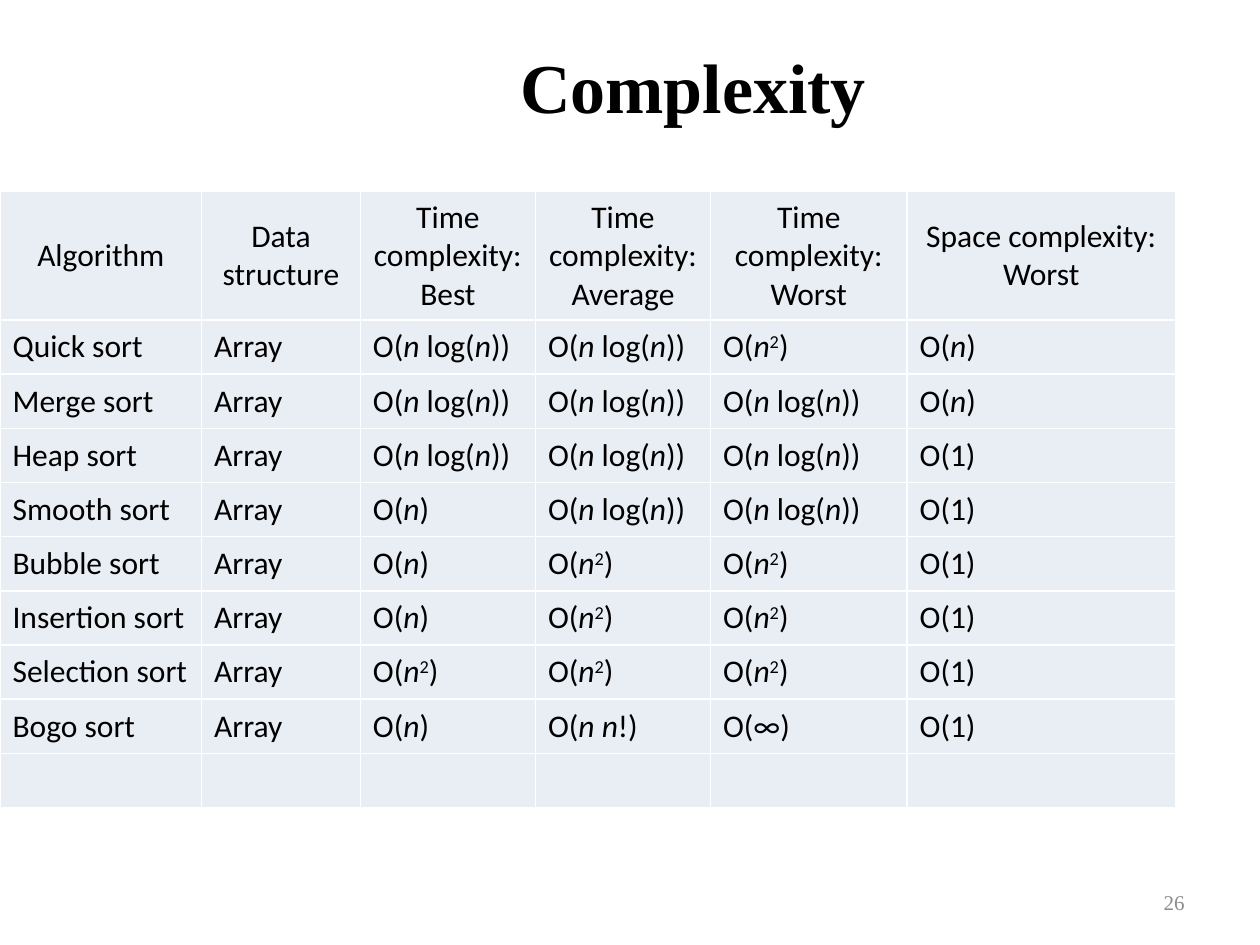
from itertools import groupby

from lxml import etree
from pptx import Presentation
from pptx.dml.color import RGBColor
from pptx.enum.text import MSO_ANCHOR, PP_ALIGN
from pptx.oxml.ns import qn
from pptx.util import Inches, Pt

MIDDLE = MSO_ANCHOR.MIDDLE
LEFT, CENTER, RIGHT = PP_ALIGN.LEFT, PP_ALIGN.CENTER, PP_ALIGN.RIGHT

WIDTH, HEIGHT = 10, 7.5
COLUMNS = [1.6, 1.26, 1.39, 1.39, 1.56, 2.13]
HEADER_HEIGHT, ROW_HEIGHT = 1.02, 0.43

TITLE = {"name": "Times New Roman", "size": Pt(40), "bold": True}
NUMBER = {"name": "Times New Roman", "size": Pt(12)}
CELL = {"name": "Calibri", "size": Pt(18), "bold": False}

LOG, LINEAR, SQUARE, CONST = "O(n log(n))", "O(n)", "O(n2)", "O(1)"
HEADERS = ["Algorithm", "Data structure", "Time complexity:\nBest",
           "Time complexity: Average", "Time complexity:\nWorst",
           "Space complexity: Worst"]
SORTS = [
    ("Quick", LOG, LOG, SQUARE, LINEAR),
    ("Merge", LOG, LOG, LOG, LINEAR),
    ("Heap", LOG, LOG, LOG, CONST),
    ("Smooth", LINEAR, LOG, LOG, CONST),
    ("Bubble", LINEAR, SQUARE, SQUARE, CONST),
    ("Insertion", LINEAR, SQUARE, SQUARE, CONST),
    ("Selection", SQUARE, SQUARE, SQUARE, CONST),
    ("Bogo", LINEAR, "O(n n!)", "O(∞)", CONST),
]


def rgb(value):
    return RGBColor.from_string(value)


def add_run(p, text, fmt, color="000000"):
    r = p.add_run()
    r.text = text
    for key, value in fmt.items():
        setattr(r.font, key, value)
    r.font.color.rgb = rgb(color)
    return r


def add_text(s, text, box, fmt, align, color="000000"):
    x, y, w, h = box
    sp = s.shapes.add_textbox(*(Inches(v) for v in (
        x * WIDTH, y * HEIGHT, w * WIDTH, h * HEIGHT)))
    tf = sp.text_frame
    tf.word_wrap, tf.vertical_anchor = True, MIDDLE
    p = tf.paragraphs[0]
    p.alignment = align
    add_run(p, text, fmt, color)


def style_cell(cell):
    tcPr = cell._tc.get_or_add_tcPr()
    for side in ("lnL", "lnR", "lnT", "lnB"):
        ln = etree.SubElement(tcPr, qn(f"a:{side}"), w=str(Pt(1)))
        fill = etree.SubElement(ln, qn("a:solidFill"))
        etree.SubElement(fill, qn("a:srgbClr"), val="FFFFFF")
    cell.fill.solid()
    cell.fill.fore_color.rgb = rgb("E9EDF4")
    cell.vertical_anchor = MIDDLE


def write_lines(p, text):
    for i, line in enumerate(text.split("\n")):
        if i:
            p.add_line_break()
        add_run(p, line, CELL)


def write_formula(p, text):
    for kind, chars in groupby(text, lambda c: c if c in "n2" else ""):
        r = add_run(p, "".join(chars), {**CELL, "italic": kind == "n"})
        if kind == "2":
            r._r.get_or_add_rPr().set("baseline", "30000")


def add_complexity_table(s):
    rows = [HEADERS]
    rows += [(f"{name} sort", "Array", *costs) for name, *costs in SORTS]
    rows.append([""] * len(COLUMNS))
    heights = [HEADER_HEIGHT] + [ROW_HEIGHT] * (len(rows) - 1)
    table = s.shapes.add_table(
        len(rows), len(COLUMNS), 0, Inches(1.52),
        Inches(sum(COLUMNS)), Inches(sum(heights))).table
    table.first_row = table.horz_banding = False
    for column, width in zip(table.columns, COLUMNS):
        column.width = Inches(width)
    for i, (texts, height) in enumerate(zip(rows, heights)):
        table.rows[i].height = Inches(height)
        for j, text in enumerate(texts):
            cell = table.cell(i, j)
            style_cell(cell)
            p = cell.text_frame.paragraphs[0]
            p.alignment = LEFT if i else CENTER
            if text:
                write = write_formula if text.startswith("O(") else write_lines
                write(p, text)


def main():
    prs = Presentation()
    prs.slide_width, prs.slide_height = Inches(WIDTH), Inches(HEIGHT)
    s = prs.slides.add_slide(prs.slide_layouts[6])
    add_complexity_table(s)
    add_text(s, "26", (0.72, 0.93, 0.23, 0.05), NUMBER, RIGHT, "8C8C8C")
    add_text(s, "Complexity", (0.1, 0.01, 0.9, 0.16), TITLE, CENTER)
    prs.save("out.pptx")


if __name__ == "__main__":
    main()
